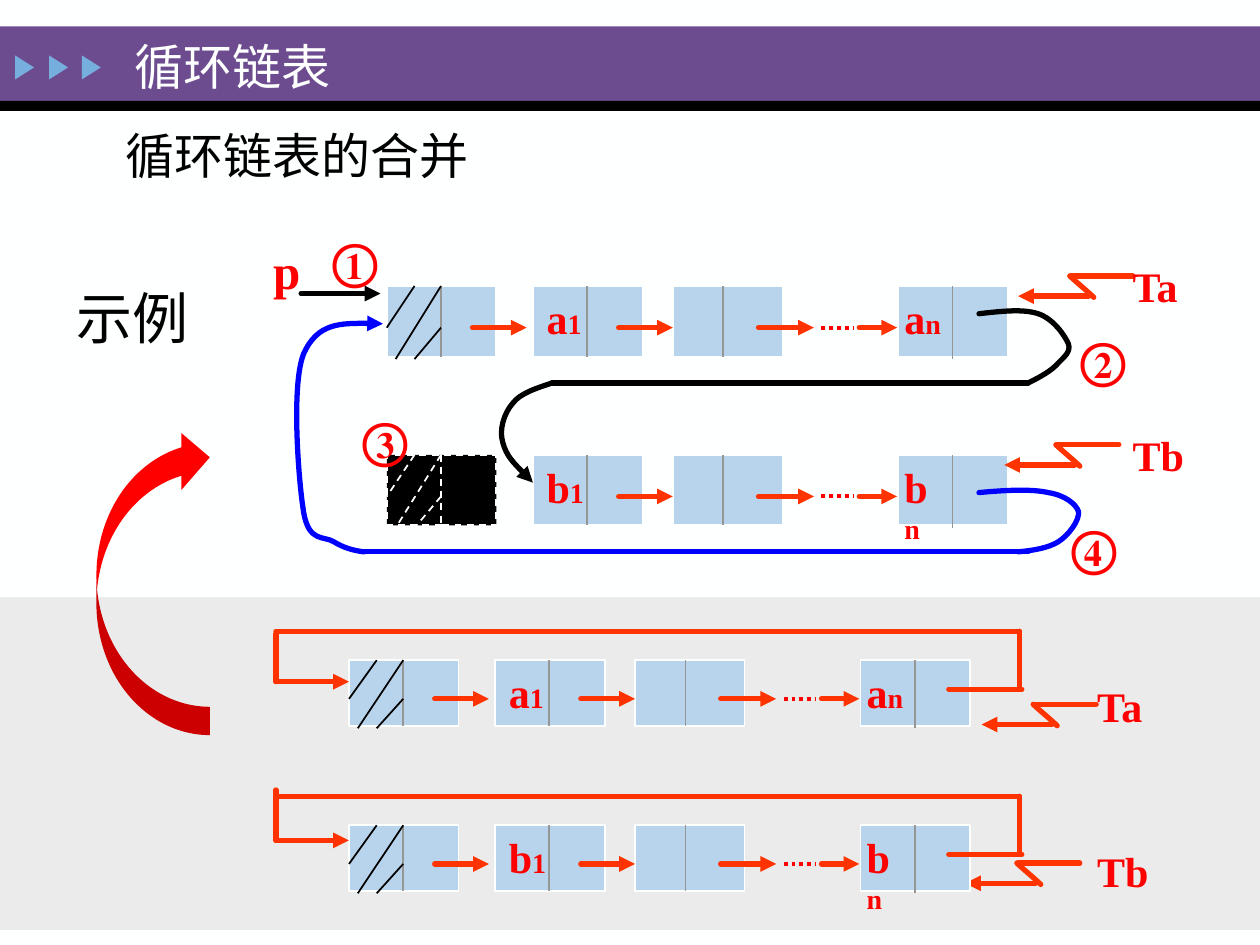
from lxml.etree import SubElement
from pptx import Presentation
from pptx.dml.color import RGBColor
from pptx.enum.shapes import MSO_CONNECTOR, MSO_SHAPE
from pptx.enum.text import MSO_ANCHOR, PP_ALIGN
from pptx.oxml.ns import qn
from pptx.util import Inches, Pt

WHITE = RGBColor(0xFE, 0xFF, 0xFF)
BLACK = RGBColor(0, 0, 0)
PURPLE = RGBColor(0x6C, 0x4C, 0x8F)
SKY = RGBColor(0x76, 0xAE, 0xDD)
PALE_BLUE = RGBColor(0xB8, 0xD4, 0xEC)
PANEL = RGBColor(0xEB, 0xEB, 0xEB)
GREY = RGBColor(0x96, 0x96, 0x96)
RED = RGBColor(0xFF, 0, 0)
ORANGE = RGBColor(0xFF, 0x33, 0)
BLUE = RGBColor(0, 0, 0xFF)
FONT = "Times New Roman"

# Line styles: colour, width in points, dash, arrowhead
LINK = dict(color=ORANGE, width=3)
ARROW = dict(LINK, arrow=True)
DIVIDER = dict(color=GREY, width=1)
HATCH = dict(color=BLACK, width=1)
DELETED = dict(color=WHITE, width=1, dash="dash")
DOTS = dict(color=RED, width=2.25, dash="sysDot")
EDGE = dict(color=WHITE, width=1)

# Node columns of a chain, measured from its left edge
NODE_WIDTH = 0.87
NODE_LEFTS = (0, 1.16, 2.27, 4.06)
DIVIDERS = (0.43, 1.59, 2.67, 4.49)
ARROW_SPANS = ((0.68, 1.11), (1.84, 2.27), (2.95, 3.39), (3.75, 4.05))
DOT_SPAN = (3.45, 3.7)


def stroke(shape, color, width, dash=None, arrow=False):
    shape.line.color.rgb = color
    shape.line.width = Pt(width)
    outline = shape.line._get_or_add_ln()
    if dash:
        SubElement(outline, qn("a:prstDash"), val=dash)
    if width == 3:
        outline.set("cap", "rnd")
    if arrow:
        SubElement(outline, qn("a:tailEnd"), type="triangle")


def add_line(page, start, end, style):
    points = [Inches(value) for value in (*start, *end)]
    line = page.shapes.add_connector(MSO_CONNECTOR.STRAIGHT, *points)
    stroke(line, **style)
    SubElement(line._element.spPr, qn("a:effectLst"))


def add_path(page, points, style):
    for start, end in zip(points, points[1:]):
        add_line(page, start, end, style)


def add_curve(page, points, style):
    """Draw joined cubic curves: a start, then two handles and an end for each."""
    points = [(round(x * 1000), round(y * 1000)) for x, y in points]
    builder = page.shapes.build_freeform(*points[0], scale=Inches(1) / 1000)
    builder.add_line_segments(points[1:], close=False)
    curve = builder.convert_to_shape()
    # Every three straight segments become one cubic segment
    path = next(curve._element.iter(qn("a:path")))
    segments = path.findall(qn("a:lnTo"))
    for first in range(0, len(segments), 3):
        cubic = SubElement(path, qn("a:cubicBezTo"))
        for segment in segments[first:first + 3]:
            cubic.append(segment[0])
            path.remove(segment)
    curve.shadow.inherit = False
    curve.fill.background()
    stroke(curve, **style)


def add_block(page, box, fill, kind=MSO_SHAPE.RECTANGLE, edge=None):
    block = page.shapes.add_shape(kind, *map(Inches, box))
    block.shadow.inherit = False
    block.fill.solid()
    block.fill.fore_color.rgb = fill
    if edge:
        stroke(block, **edge)
    else:
        block.line.fill.background()
    return block


def write(frame, spans, color, bold):
    para = frame.paragraphs[0]
    para.alignment = PP_ALIGN.LEFT
    for text, size in spans:
        span = para.add_run()
        span.text = text
        formats = {"name": FONT, "size": Pt(size), "bold": bold}
        for name, value in formats.items():
            setattr(span.font, name, value)
        span.font.color.rgb = color
    return para


def add_text(page, box, spans, color=RED, bold=True, spaced=True, wrap=True):
    frame = page.shapes.add_textbox(*map(Inches, box)).text_frame
    frame.word_wrap = wrap
    para = write(frame, spans, color, bold)
    if spaced:
        para.space_before = Pt(spans[0][1] * 0.2)


def add_header(page, top):
    add_block(page, (0, top, 10, 0.59), PURPLE)
    add_block(page, (0, top + 0.59, 10, 0.08), BLACK)
    for left in (0.1, 0.37, 0.63):
        marker = add_block(page, (left, top + 0.25, 0.19, 0.15), SKY,
                           MSO_SHAPE.ISOSCELES_TRIANGLE)
        marker.rotation = 90
    title = page.shapes.title
    formats = {"left": 0.97, "top": top - 0.06, "width": 7.84, "height": 0.75}
    for name, value in formats.items():
        setattr(title, name, Inches(value))
    title.text_frame.vertical_anchor = MSO_ANCHOR.MIDDLE
    write(title.text_frame, [("循环链表", 28)], WHITE, False)
    page.shapes._spTree.append(title._element)  # in front of the bar


def add_chain(page, left, top, height, letter, deleted_head=False):
    """Nodes with hatched head, links between them, first and last label."""
    link_y = top + height * 0.59
    low = top + height + 0.02
    for index, (offset, divider) in enumerate(zip(NODE_LEFTS, DIVIDERS)):
        gone = deleted_head and index == 0
        add_block(page, (left + offset, top, NODE_WIDTH, height),
                  BLACK if gone else PALE_BLUE, edge=DELETED if gone else EDGE)
        bottom = low if index == 3 else top + height
        add_line(page, (left + divider, top), (left + divider, bottom),
                 DELETED if gone else DIVIDER)
    # Hatching of the head node
    for start, end in (((0.22, top), (0, link_y)), ((0.43, top), (0.07, low)),
                       ((0.43, link_y), (0.22, low))):
        add_line(page, (left + start[0], start[1]), (left + end[0], end[1]),
                 DELETED if deleted_head else HATCH)
    # Links
    for start, end in ARROW_SPANS[1 if deleted_head else 0:]:
        add_line(page, (left + start, link_y), (left + end, link_y), ARROW)
    add_line(page, (left + DOT_SPAN[0], link_y), (left + DOT_SPAN[1], link_y), DOTS)
    for offset, index in ((1.17, "1"), (4.01, "n")):
        add_text(page, (left + offset, top, 0.5, 0.5), [(letter, 24), (index, 16)])


def add_tail_pointer(page, tip, label, label_left, label_top):
    x, y = tip
    add_line(page, (x + 0.91, y - 0.16), (x + 0.42, y - 0.16), LINK)
    add_curve(page, [(x + 0.41, y - 0.16), (x + 0.44, y - 0.13),
                     (x + 0.56, y - 0.03), (x + 0.6, y + 0.01)], LINK)
    add_line(page, (x + 0.56, y), tip, ARROW)
    add_text(page, (label_left, label_top, 0.75, 0.5), [(label, 24)])


def add_circular_list(page, left, top, letter, tip, entry, label_top, rise):
    add_tail_pointer(page, tip, "T" + letter, 8.61, label_top)
    add_chain(page, left, top, 0.52, letter)
    # Link from the last node back to the head
    start, corner = left - 0.58, left + 5.32
    add_line(page, (left + 4.76, top + 0.23), (left + 5.34, top + 0.23), LINK)
    add_path(page, [(corner, top + 0.23), (corner, top - 0.23), (start, top - 0.23)], LINK)
    add_line(page, (start, top - rise), (start, top + entry), LINK)
    add_line(page, (start, top + entry), (left, top + entry), ARROW)


def add_merged_list(page, left, top):
    lower = top + 1.34
    add_chain(page, left, top, 0.56, "a")
    add_chain(page, left, lower, 0.56, "b", deleted_head=True)
    # Step 2: the last a node leads to the first b node
    black = dict(color=BLACK, width=3)
    add_curve(page, [(7.77, 2.49), (7.95, 2.47), (8.12, 2.45), (8.24, 2.49),
                     (8.36, 2.53), (8.45, 2.66), (8.48, 2.73), (8.5, 2.79),
                     (8.45, 2.83), (8.4, 2.88), (8.35, 2.94), (8.26, 2.99),
                     (8.16, 3.04)], black)
    add_line(page, (8.16, 3.04), (4.38, 3.04), black)
    add_curve(page, [(4.38, 3.04), (4.26, 3.08), (4.13, 3.12), (4.07, 3.2),
                     (4, 3.28), (3.96, 3.41), (3.99, 3.51), (4.02, 3.62),
                     (4.12, 3.72), (4.23, 3.83)], dict(black, arrow=True))
    # Step 4: the last b node leads back to the head
    blue = dict(color=BLUE, width=3)
    add_curve(page, [(7.77, 3.91), (7.98, 3.89), (8.19, 3.88), (8.32, 3.91),
                     (8.45, 3.93), (8.54, 4), (8.56, 4.06), (8.57, 4.13),
                     (8.48, 4.25), (8.4, 4.3), (8.32, 4.35), (8.2, 4.37),
                     (8.08, 4.38)], blue)
    add_line(page, (8.16, 4.38), (2.89, 4.38), blue)
    add_curve(page, [(2.89, 4.38), (2.81, 4.37), (2.73, 4.35), (2.65, 4.3),
                     (2.57, 4.25), (2.45, 4.31), (2.41, 4.06), (2.37, 3.82),
                     (2.31, 3.06), (2.41, 2.81), (2.52, 2.56), (2.78, 2.56),
                     (3.04, 2.57)], dict(blue, arrow=True))
    # Step numbers and pointers
    add_line(page, (2.39, 2.33), (3.02, 2.33), dict(black, arrow=True))
    add_text(page, (2.07, 1.86, 0.48, 0.57), [("p", 28)])
    for number, x, y in (("①", 2.54, 1.78), ("②", 8.48, 2.57),
                         ("③", 2.78, 3.2), ("④", 8.41, 4.06)):
        add_text(page, (x, y, 0.6, 0.57), [(number, 28)], wrap=False)
    add_tail_pointer(page, (8.08, 2.35), "Ta", 8.89, top - 0.25)
    add_tail_pointer(page, (7.97, 3.69), "Tb", 8.89, lower - 0.25)


def main():
    deck = Presentation()
    deck.slide_width, deck.slide_height = Inches(10), Inches(7.5)
    page = deck.slides.add_slide(deck.slide_layouts[5])
    page.background.fill.solid()
    page.background.fill.fore_color.rgb = WHITE

    add_header(page, 0.21)
    # Separate lists on the lower panel
    add_block(page, (0, 4.74, 10, 2.64), PANEL)
    add_circular_list(page, 2.77, 5.24, "a", (7.79, 5.75), 0.17, 5.35, 0.21)
    add_circular_list(page, 2.77, 6.55, "b", (7.66, 7.01), 0.12, 6.66, 0.28)
    # Merged list above
    add_text(page, (0.9, 0.95, 3.98, 0.56), [("循环链表的合并", 28)], BLACK, False, False)
    add_merged_list(page, 3.07, 2.27)
    add_text(page, (0.51, 2.2, 1.26, 0.64), [("示例", 32)], BLACK, False)
    # Arrow from the separate lists to the merged one
    arrow = add_block(page, (0, 4.17, 2.43, 0.9), RED, MSO_SHAPE.CURVED_UP_ARROW)
    arrow.rotation = 270
    arrow._element.spPr.xfrm.set("flipV", "1")
    deck.save("out.pptx")


if __name__ == "__main__":
    main()
